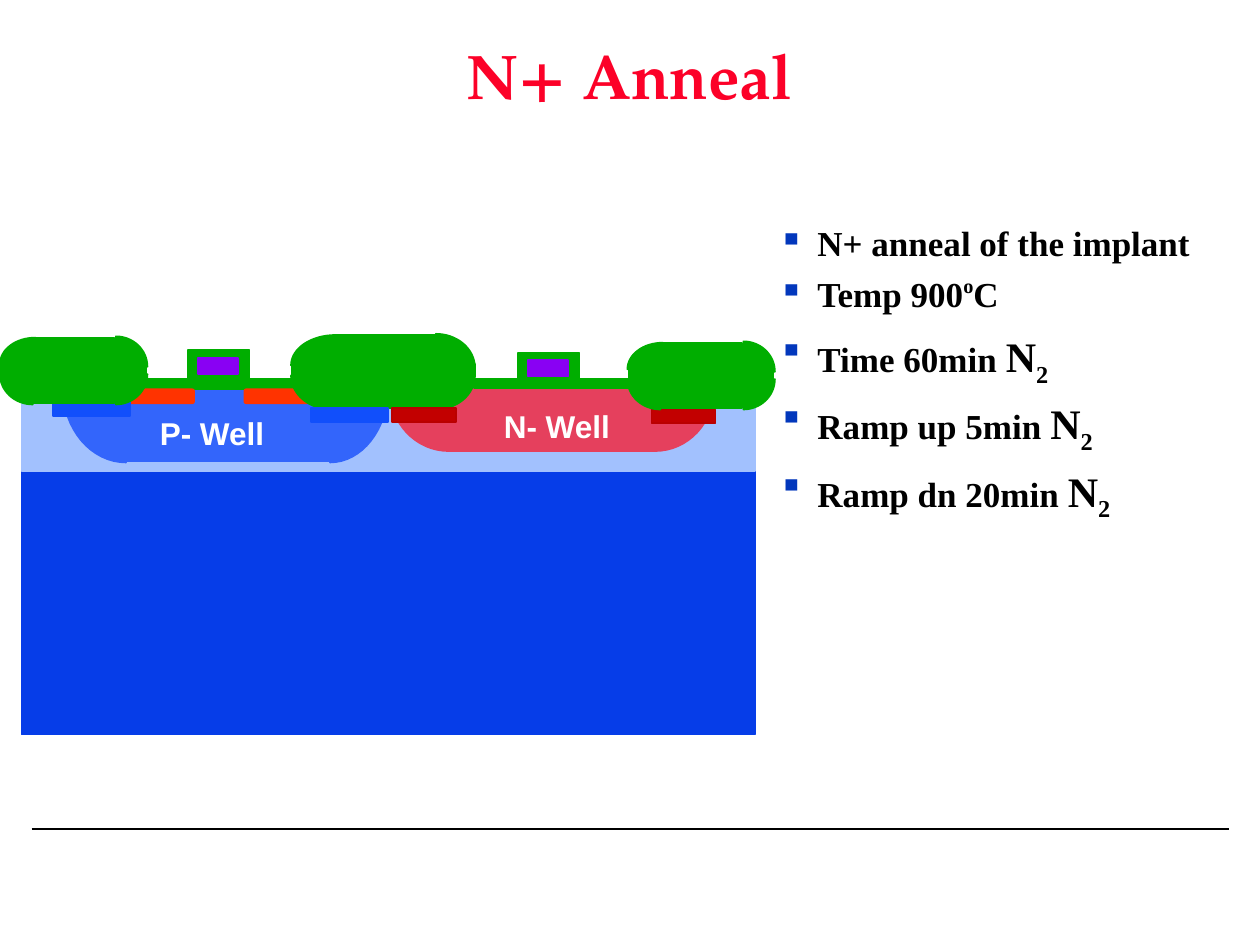
from math import cos, pi, sin
from typing import NamedTuple

from lxml.etree import SubElement
from pptx import Presentation
from pptx.dml.color import RGBColor
from pptx.enum.shapes import MSO_CONNECTOR, MSO_SHAPE
from pptx.enum.text import MSO_ANCHOR, PP_ALIGN
from pptx.oxml.ns import qn
from pptx.util import Inches, Pt

OXIDE, POLY = "00AE00", "8901F3"
P_WELL, N_WELL = "3365FB", "E5405D"
P_FIELD, N_FIELD, N_PLUS = "114FFB", "C20000", "FF3300"
ARC_STEPS = 16


class Box(NamedTuple):
    left: float
    top: float
    width: float
    height: float


class Corner(NamedTuple):
    """Quarter ellipse around (x, y); the signs of the radii pick the quadrant."""
    x: float
    y: float
    rx: float
    ry: float


class Region(NamedTuple):
    corners: list[Corner]
    boxes: list[Box]


class Step(NamedTuple):
    runs: list[tuple[str, int, int]]  # text, size, baseline shift in percent
    space_before: float


def rgb(color: str) -> RGBColor:
    return RGBColor.from_string(color)


def paint(shape, color: str, edge: str) -> None:
    shape.shadow.inherit = False
    shape.fill.solid()
    shape.fill.fore_color.rgb = rgb(color)
    shape.line.color.rgb = rgb(edge)
    shape.line.width = Pt(1)


def add_box(slide, box: Box, color: str, edge: str = "",
            kind: MSO_SHAPE = MSO_SHAPE.RECTANGLE):
    block = slide.shapes.add_shape(kind, *map(Inches, box))
    paint(block, color, edge or color)
    return block


def add_corner(slide, corner: Corner, color: str) -> None:
    x, y, rx, ry = corner
    angles = [pi / 2 * i / ARC_STEPS for i in range(ARC_STEPS + 1)]
    arc = [(x + rx * cos(a), y + ry * sin(a)) for a in angles]
    outline = slide.shapes.build_freeform(Inches(x), Inches(y))
    outline.add_line_segments([(Inches(px), Inches(py)) for px, py in arc])
    paint(outline.convert_to_shape(), color, color)


def add_region(slide, region: Region, color: str,
               dx: float = 0, dy: float = 0) -> None:
    """Draw rounded corners and their filling boxes, shifted by (dx, dy)."""
    for corner in region.corners:
        add_corner(slide, corner._replace(x=corner.x + dx, y=corner.y + dy), color)
    for box in region.boxes:
        add_box(slide, box._replace(left=box.left + dx, top=box.top + dy), color)


def add_gate(slide, left: float, top: float) -> None:
    add_box(slide, Box(left, top, 0.49, 0.26), OXIDE)
    add_box(slide, Box(left + 0.08, top + 0.06, 0.32, 0.13), POLY)


def set_font(font, name: str, color: str, size: int | None = None) -> None:
    font.name, font.bold = name, True
    font.color.rgb = rgb(color)
    if size:
        font.size = Pt(size)


def add_text(slide, box: Box, wrap: bool = True):
    frame = slide.shapes.add_textbox(*map(Inches, box)).text_frame
    frame.word_wrap = wrap
    return frame


def add_label(slide, box: Box, text: str) -> None:
    label = add_text(slide, box, wrap=False).paragraphs[0]
    label.text = text
    set_font(label.font, "Arial", "FFFFFF", 18)


def add_title(slide, text: str) -> None:
    frame = add_text(slide, Box(1.08, 0, 7.83, 1.25))
    frame.vertical_anchor = MSO_ANCHOR.MIDDLE
    title = frame.paragraphs[0]
    title.text = text
    title.alignment = PP_ALIGN.CENTER
    title.line_spacing = 0.9
    set_font(title.font, "TeX Gyre Pagella", "FC0128", 36)


def add_bullet(paragraph) -> None:
    properties = paragraph._p.get_or_add_pPr()
    properties.set("marL", str(Inches(0.31)))
    properties.set("indent", str(-Inches(0.31)))
    bullet_color = SubElement(properties, qn("a:buClr"))
    SubElement(bullet_color, qn("a:srgbClr"), val="0237BC")
    SubElement(properties, qn("a:buChar"), char="▪")


def add_steps(slide, box: Box, steps: list[Step]) -> None:
    frame = add_text(slide, box)
    for index, step in enumerate(steps):
        line = frame.add_paragraph() if index else frame.paragraphs[0]
        line.line_spacing = 0.9
        line.space_before = Pt(step.space_before)
        add_bullet(line)
        set_font(line.font, "Times New Roman", "000000")
        for text, size, shift in step.runs:
            run = line.add_run()
            run.text = text
            run.font.size = Pt(size)
            if shift:
                run._r.get_or_add_rPr().set("baseline", str(shift * 1000))


def add_rule(slide, left: float, right: float, y: float) -> None:
    rule = slide.shapes.add_connector(
        MSO_CONNECTOR.STRAIGHT, Inches(left), Inches(y), Inches(right), Inches(y))
    rule.line.color.rgb = rgb("000000")
    rule.line.width = Pt(1)
    SubElement(rule._element.spPr, qn("a:effectLst"))


def add_cross_section(slide) -> None:
    n_well = Region([Corner(3.56, 3.08, -0.47, 0.5), Corner(5.2, 3.08, 0.47, 0.5)],
                    [Box(3.55, 3.09, 1.65, 0.49)])
    p_well = Region([Corner(1, 3.08, -0.5, 0.59), Corner(2.62, 3.08, 0.46, 0.59)],
                    [Box(0.97, 3.09, 1.65, 0.57)])
    outer_oxide = Region(
        [Corner(0.26, 2.97, -0.26, 0.24), Corner(0.92, 2.97, 0.25, 0.24),
         Corner(0.92, 2.91, 0.25, -0.24), Corner(0.28, 2.89, -0.28, -0.21)],
        [Box(0.01, 2.89, 1.15, 0.08), Box(0.26, 2.68, 0.65, 0.52)])
    middle_oxide = Region(
        [Corner(2.63, 2.98, -0.32, 0.27), Corner(3.46, 2.98, 0.31, 0.27),
         Corner(3.46, 2.92, 0.31, -0.27), Corner(2.66, 2.9, -0.35, -0.24)],
        [Box(2.32, 2.89, 1.45, 0.09), Box(2.64, 2.66, 0.82, 0.58)])

    add_box(slide, Box(0.17, 3.09, 5.82, 2.74), "063DE8")
    add_box(slide, Box(0.17, 3.09, 5.82, 0.65), "A2C1FE")
    add_region(slide, n_well, N_WELL)
    add_region(slide, p_well, P_WELL)
    add_label(slide, Box(1.17, 3.24, 1.04, 0.4), "P- Well")
    add_label(slide, Box(3.9, 3.18, 1.05, 0.4), "N- Well")

    add_box(slide, Box(1.08, 3.01, 1.33, 0.08), OXIDE)
    add_box(slide, Box(3.76, 3.01, 1.24, 0.07), OXIDE)
    for left in (1.03, 1.94):
        implant = add_box(slide, Box(left, 3.09, 0.51, 0.11), N_PLUS,
                          kind=MSO_SHAPE.ROUNDED_RECTANGLE)
        implant.adjustments[0] = 0.125
    add_region(slide, middle_oxide, OXIDE)
    for left, top in ((2.47, 3.24), (0.42, 3.19)):
        add_box(slide, Box(left, top, 0.61, 0.11), P_FIELD)
    for left, top in ((3.11, 3.24), (5.17, 3.25)):
        add_box(slide, Box(left, top, 0.51, 0.11), N_FIELD, edge="BA0000")
    add_region(slide, outer_oxide, OXIDE)
    add_gate(slide, 1.49, 2.78)
    add_gate(slide, 4.11, 2.8)
    add_region(slide, outer_oxide, OXIDE, dx=4.98, dy=0.04)


def main() -> None:
    deck = Presentation()
    deck.slide_width, deck.slide_height = Inches(10), Inches(7.5)
    slide = deck.slides.add_slide(deck.slide_layouts[6])
    nitrogen = [("N", 24, 0), ("2", 24, -25)]
    steps = [Step([("N+ anneal of the implant", 20, 0)], 7.5),
             Step([("Temp 900", 20, 0), ("o", 20, 40), ("C", 20, 0)], 7.5)]
    steps += [Step([(text, 20, 0), *nitrogen], 9)
              for text in ("Time 60min ", "Ramp up 5min ", "Ramp dn 20min ")]

    add_rule(slide, 0.25, 9.75, 6.58)
    add_title(slide, "N+ Anneal")
    add_steps(slide, Box(6.08, 1.75, 3.67, 4.42), steps)
    add_cross_section(slide)
    deck.save("out.pptx")


if __name__ == "__main__":
    main()
